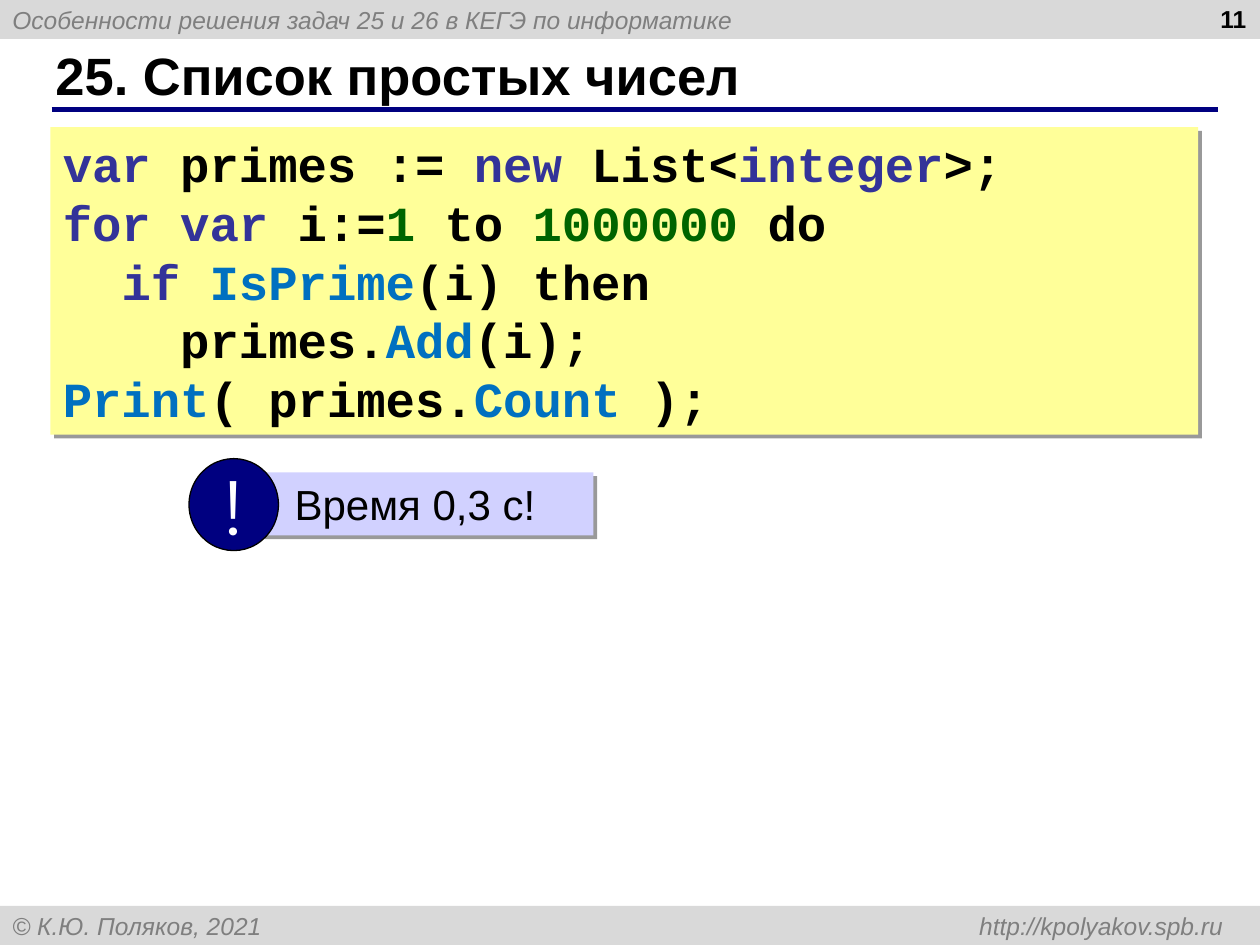
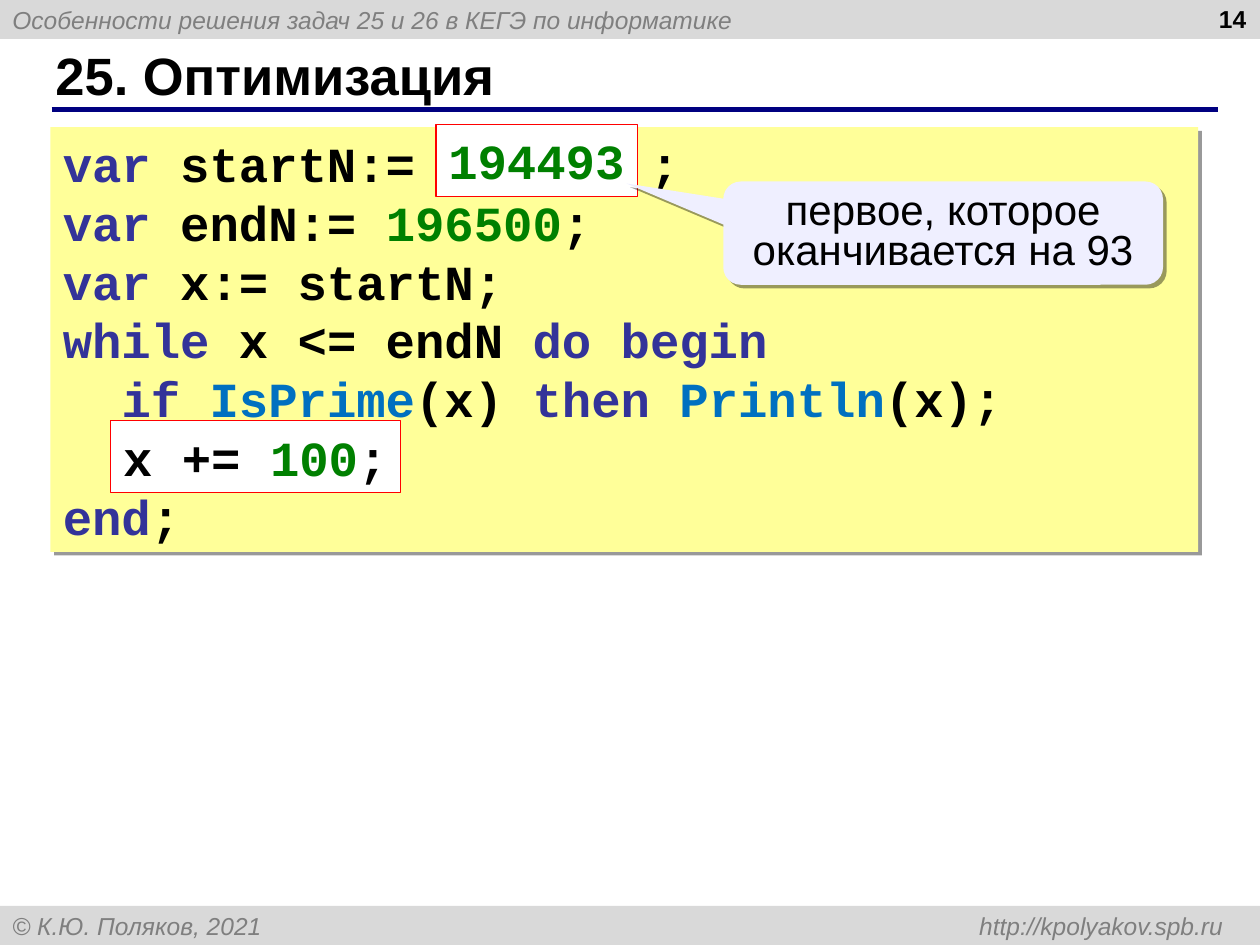
from dataclasses import dataclass

from lxml import etree
from pptx import Presentation, util as u
from pptx.dml.color import RGBColor
from pptx.enum import shapes, text
from pptx.oxml.ns import qn

PX = 9144  # EMU in one px, 100 px to the inch
KIND = shapes.MSO_SHAPE
ALIGN = text.PP_ALIGN
ANCHOR = text.MSO_ANCHOR


@dataclass(frozen=True)
class Theme:
    sans: str = "Arial"
    mono: str = "Courier New"
    mark: str = "Montserrat"
    ink: str = "000000"
    white: str = "FFFFFF"
    navy: str = "000080"
    grey: str = "7F7F7F"
    band: str = "D9D9D9"
    code: str = "FFFF99"
    remark: str = "D1D1FF"
    callout: str = "EFEFFF"
    frame: str = "FF0000"
    keyword: str = "333399"
    function: str = "0070C0"
    number: str = "008000"
    dark_number: str = "006400"
    small: int = 14
    body: int = 24
    code_size: int = 28
    title: int = 30
    mark_size: int = 44


THEME = Theme()
K, F, N, D = THEME.keyword, THEME.function, THEME.number, THEME.dark_number

HEADER = "Особенности решения задач 25 и 26 в КЕГЭ по информатике"
FOOTER = "© К.Ю. Поляков, 2021 \thttp://kpolyakov.spb.ru"

# Code lines: plain strings are black, pairs are (text, colour)
PRIMES_CODE = [
    [("var", K), " primes := ", ("new", K), " List<", ("integer", K), ">;"],
    [("for var ", K), "i:=", ("1 ", D), "to ", ("1000000 ", D), "do"],
    ["  ", ("if ", K), ("IsPrime", F), "(i) then"],
    ["    primes.", ("Add", F), "(i);"],
    [("Print", F), "( primes.", ("Count ", F), ");"],
]
SEARCH_CODE = [
    [("var", K), " startN:= 194493 ;"],
    [("var", K), " endN:= ", ("196500", N), ";"],
    [("var", K), " x:= startN;"],
    [("while", K), " x <= endN ", ("do begin", K)],
    ["  ", ("if ", K), ("IsPrime", F), "(x) ", ("then ", K), ("Println", F), "(x);"],
    ["  x += 100;"],
    [("end", K), ";"],
]


class Painter:
    """Holds the theme and the current slide."""

    def __init__(self, deck, theme):
        self.deck, self.theme, self.page = deck, theme, None

    def new_page(self, title, number):
        t = self.theme
        self.page = self.deck.slides.add_slide(self.deck.slide_layouts[5])
        # Bands and rule
        self.band(0, HEADER)
        self.band(719, FOOTER, right_tab=961)
        self.rule(41, 87, 967)
        # Title
        box = self.page.shapes.title
        box.left, box.top, box.width, box.height = (v * PX for v in (34, 33, 916, 52))
        self.put_text(box, [[title]], anchor=ANCHOR.MIDDLE, size=t.title, bold=True)
        # Page number
        box = self.page.shapes.add_textbox(*(v * PX for v in (766, -2, 233, 52)))
        self.put_text(box, [[number]], align=ALIGN.RIGHT, size=t.small, bold=True)

    def put_text(self, box, lines, align=ALIGN.LEFT, anchor=ANCHOR.TOP, wrap=True,
                 spacing=1.0, color=None, **font):
        frame = box.text_frame
        layout = {"word_wrap": wrap, "auto_size": text.MSO_AUTO_SIZE.NONE,
                  "vertical_anchor": anchor}
        for name, value in layout.items():
            setattr(frame, name, value)
        look = {"name": self.theme.sans, "bold": False, "italic": False, **font}
        look["size"] = u.Pt(look["size"])
        for index, line in enumerate(lines):
            para = frame.add_paragraph() if index else frame.paragraphs[0]
            para.alignment, para.line_spacing = align, spacing
            for piece in line:
                words, tint = (piece, color or self.theme.ink) if isinstance(piece, str) else piece
                span = para.add_run()
                span.text = words
                for name, value in look.items():
                    setattr(span.font, name, value)
                span.font.color.rgb = RGBColor.from_string(tint)

    def shape(self, kind, place, fill, line=None, shadow=False):
        box = self.page.shapes.add_shape(kind, *(v * PX for v in place))
        box.fill.solid()
        box.fill.fore_color.rgb = RGBColor.from_string(fill)
        if line:
            box.line.color.rgb = RGBColor.from_string(line)
            box.line.width = u.Pt(0.75)
        else:
            box.line.fill.background()
        box.shadow.inherit = False
        if shadow:
            effects = box._element.spPr.find(qn("a:effectLst"))
            outer = etree.SubElement(effects, qn("a:outerShdw"), dist=str(u.Pt(3)),
                                     dir="2700000", algn="ctr", rotWithShape="0")
            tint = etree.SubElement(outer, qn("a:srgbClr"), val=self.theme.ink)
            etree.SubElement(tint, qn("a:alpha"), val="40000")
        return box

    def band(self, top, words, right_tab=None):
        t = self.theme
        box = self.shape(KIND.RECTANGLE, (0, top, 1000, 31), t.band)
        self.put_text(box, [[words]], anchor=ANCHOR.MIDDLE, size=t.small,
                      italic=True, color=t.grey)
        if right_tab:
            props = box.text_frame.paragraphs[0]._p.get_or_add_pPr()
            tabs = etree.SubElement(props, qn("a:tabLst"))
            etree.SubElement(tabs, qn("a:tab"), pos=str(right_tab * PX), algn="r")

    def rule(self, left, top, right):
        line = self.page.shapes.add_connector(
            shapes.MSO_CONNECTOR.STRAIGHT, *(v * PX for v in (left, top, right, top)))
        line.line.color.rgb = RGBColor.from_string(self.theme.navy)
        line.line.width = u.Pt(3)
        etree.SubElement(line._element.spPr, qn("a:effectLst"))

    def code(self, lines):
        height = round(11.5 + 46.5 * len(lines))
        box = self.shape(KIND.RECTANGLE, (40, 101, 911, height), self.theme.code, shadow=True)
        self.put_text(box, lines, name=self.theme.mono, size=self.theme.code_size, bold=True)

    def code_patch(self, place, line):
        box = self.shape(KIND.RECTANGLE, place, self.theme.white, line=self.theme.frame)
        self.put_text(box, [line], wrap=False, name=self.theme.mono,
                      size=self.theme.code_size, bold=True)

    def remark(self, left, top, width, words):
        t = self.theme
        box = self.shape(KIND.RECTANGLE, (left + 55, top + 11, width, 50), t.remark, shadow=True)
        self.put_text(box, [[words]], size=t.body)
        box.text_frame.paragraphs[0]._p.get_or_add_pPr().set("marL", str(19 * PX))
        badge = self.shape(KIND.OVAL, (left, top, 71, 73), t.navy, line=t.ink)
        self.put_text(badge, [["!"]], align=ALIGN.CENTER, anchor=ANCHOR.MIDDLE, wrap=False,
                      name=t.mark, size=t.mark_size, color=t.white)

    def callout(self, place, tip, words):
        t = self.theme
        box = self.shape(KIND.ROUNDED_RECTANGULAR_CALLOUT, place, t.callout, shadow=True)
        for index, value in enumerate((*tip, 0.17)):
            box.adjustments[index] = value
        self.put_text(box, [[words]], align=ALIGN.CENTER, spacing=0.8, size=t.body)


def main():
    deck = Presentation()
    deck.slide_width, deck.slide_height = 1000 * PX, 750 * PX
    painter = Painter(deck, THEME)

    # List of primes
    painter.new_page("25. Список простых чисел", "11")
    painter.code(PRIMES_CODE)
    painter.remark(150, 364, 266, "Время 0,3 с!")

    # Optimisation
    painter.new_page("25. Оптимизация", "14")
    painter.code(SEARCH_CODE)
    painter.code_patch((346, 99, 160, 57), [("194493", N)])
    painter.code_patch((88, 334, 230, 57), ["x += ", ("100", N), ";"])
    painter.callout((574, 144, 349, 82), (-0.72, -0.48), "первое, которое оканчивается на 93")

    deck.save("out.pptx")


if __name__ == "__main__":
    main()
